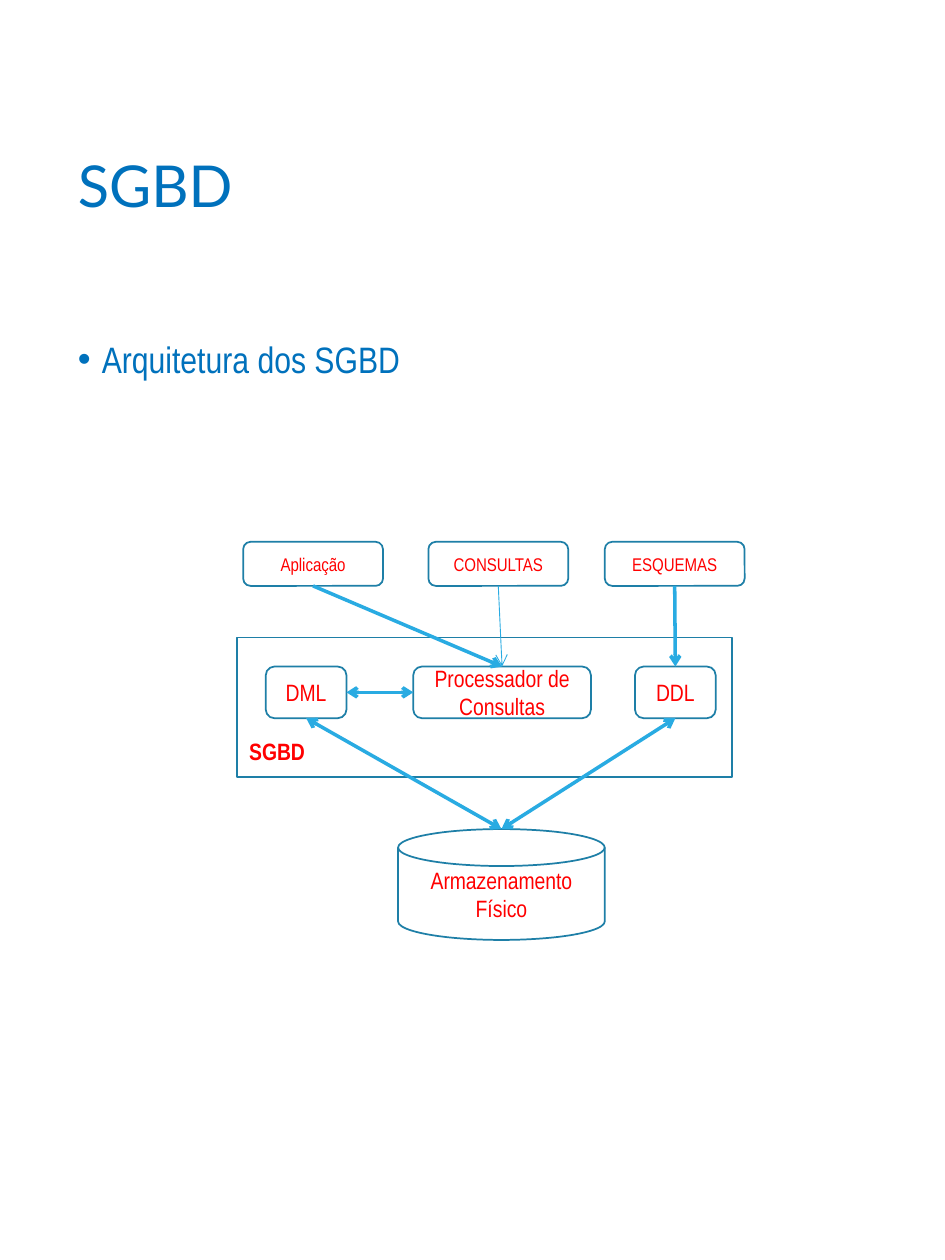
from lxml import etree
from pptx import Presentation
from pptx.dml.color import RGBColor
from pptx.enum.shapes import MSO_CONNECTOR, MSO_SHAPE
from pptx.enum.text import MSO_ANCHOR, PP_ALIGN
from pptx.oxml.ns import qn
from pptx.util import Inches, Pt

RECT = MSO_SHAPE.RECTANGLE
ROUNDED = MSO_SHAPE.ROUNDED_RECTANGLE
DISK = MSO_SHAPE.FLOWCHART_MAGNETIC_DISK
STRAIGHT = MSO_CONNECTOR.STRAIGHT
MIDDLE, BOTTOM = MSO_ANCHOR.MIDDLE, MSO_ANCHOR.BOTTOM
LEFT, CENTER, JUSTIFY = PP_ALIGN.LEFT, PP_ALIGN.CENTER, PP_ALIGN.JUSTIFY

COLORS = {"heading": "0071BC", "label": "FF0000", "outline": "1E7FA7", "arrow": "29ABE2"}
TITLE_FONT, BODY_FONT = "Lato", "Arial Narrow"


def color(name):
    return RGBColor.from_string(COLORS[name])


def write(para, text, font, size, tint, bold=False):
    para.text = text
    span = para.runs[0].font
    span.name, span.size, span.bold = font, Pt(size), bold
    span.color.rgb = color(tint)


def add_heading(slide, text, left, top, width, height):
    """Slide title, centred vertically in its box."""
    box = slide.shapes.add_textbox(Inches(left), Inches(top), Inches(width), Inches(height))
    frame = box.text_frame
    frame.word_wrap = True
    frame.vertical_anchor = MIDDLE
    para = frame.paragraphs[0]
    para.line_spacing = 0.9
    write(para, text, TITLE_FONT, 33, "heading")


def add_body(slide, text, left, top, width, height):
    """Bulleted body text."""
    box = slide.shapes.add_textbox(Inches(left), Inches(top), Inches(width), Inches(height))
    box.text_frame.word_wrap = True
    para = box.text_frame.paragraphs[0]
    para.alignment = JUSTIFY
    para.line_spacing = 0.9
    para.space_before = Pt(7.5)
    write(para, text, BODY_FONT, 21, "heading")
    # Hanging bullet
    props = para._p.get_or_add_pPr()
    props.set("marL", str(Inches(0.19)))
    props.set("indent", str(-Inches(0.19)))
    etree.SubElement(props, qn("a:buFont")).set("typeface", "Arial")
    etree.SubElement(props, qn("a:buChar")).set("char", "•")


def add_node(slide, kind, text, left, top, width, height, size=13.5):
    node = slide.shapes.add_shape(kind, Inches(left), Inches(top), Inches(width), Inches(height))
    node.shadow.inherit = False
    node.fill.background()
    node.line.color.rgb = color("outline")
    node.line.width = Pt(1)
    frame = node.text_frame
    frame.word_wrap = True
    frame.vertical_anchor = MIDDLE
    para = frame.paragraphs[0]
    para.alignment = CENTER
    write(para, text, BODY_FONT, size, "label")
    return node


def top_of(node):
    return node.left + node.width // 2, node.top


def bottom_of(node):
    return node.left + node.width // 2, node.top + node.height


def left_of(node):
    return node.left, node.top + node.height // 2


def right_of(node):
    return node.left + node.width, node.top + node.height // 2


def add_arrow(slide, start, end, both=False, weight=2):
    arrow = slide.shapes.add_connector(STRAIGHT, *start, *end)
    arrow.line.color.rgb = color("arrow")
    arrow.line.width = Pt(weight)
    line = arrow.line._get_or_add_ln()
    for tag in ("a:headEnd", "a:tailEnd") if both else ("a:tailEnd",):
        etree.SubElement(line, qn(tag)).set("type", "arrow")
    etree.SubElement(arrow._element.spPr, qn("a:effectLst"))


def add_architecture(slide, left, top):
    """DBMS diagram: inputs, the SGBD frame with its modules, and storage."""
    # SGBD frame with its label at the lower left
    system = add_node(slide, RECT, "SGBD", left, top + 0.76, 3.93, 1.11)
    frame = system.text_frame
    frame.vertical_anchor = BOTTOM
    frame.margin_bottom = Inches(0.1)
    frame.paragraphs[0].alignment = LEFT
    frame.paragraphs[0].runs[0].font.bold = True

    # Modules inside the frame
    dml, processor, ddl = [
        add_node(slide, ROUNDED, text, left + offset, top + 0.99, width, 0.41)
        for text, offset, width in (
            ("DML", 0.23, 0.64),
            ("Processador de Consultas", 1.4, 1.41),
            ("DDL", 3.16, 0.64),
        )
    ]

    # Inputs above and storage below
    application, queries, schemas = [
        add_node(slide, ROUNDED, text, left + offset, top, 1.11, 0.35, 10.5)
        for text, offset in (("Aplicação", 0.05), ("CONSULTAS", 1.52), ("ESQUEMAS", 2.92))
    ]
    storage = add_node(slide, DISK, "Armazenamento Físico", left + 1.28, top + 2.28, 1.64, 0.88)

    # Arrows
    add_arrow(slide, bottom_of(application), top_of(processor))
    add_arrow(slide, bottom_of(queries), top_of(processor), weight=0.5)
    add_arrow(slide, bottom_of(schemas), top_of(ddl))
    add_arrow(slide, left_of(processor), right_of(dml), both=True)
    for module in (dml, ddl):
        add_arrow(slide, bottom_of(module), top_of(storage), both=True)


def main():
    deck = Presentation()
    deck.slide_width, deck.slide_height = Inches(7.5), Inches(10)
    slide = deck.slides.add_slide(deck.slide_layouts[6])
    add_heading(slide, "SGBD", 0.52, 0.53, 6.47, 1.93)
    add_body(slide, "Arquitetura dos SGBD", 0.52, 2.66, 6.47, 6.34)
    add_architecture(slide, 1.88, 4.3)
    deck.save("out.pptx")


if __name__ == "__main__":
    main()
